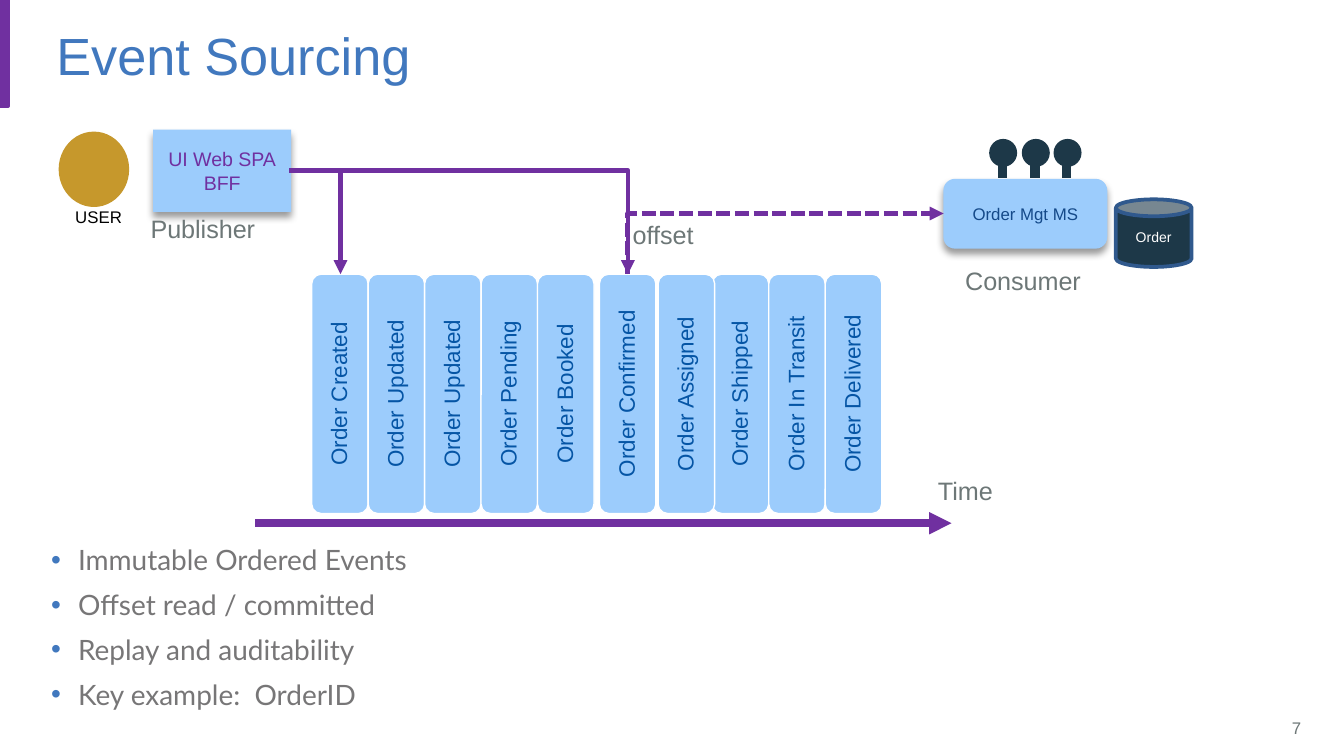
"""Build the Event Sourcing slide."""
from dataclasses import dataclass

from lxml import etree
from pptx import Presentation
from pptx.dml.color import RGBColor
from pptx.enum.dml import MSO_LINE
from pptx.enum.shapes import MSO_CONNECTOR, MSO_SHAPE
from pptx.enum.text import MSO_ANCHOR, MSO_AUTO_SIZE, PP_ALIGN
from pptx.oxml.ns import qn
from pptx.shapes.autoshape import Shape
from pptx.shapes.connector import Connector
from pptx.slide import Slide
from pptx.text.text import TextFrame
from pptx.util import Pt

RECTANGLE, ROUNDED = MSO_SHAPE.RECTANGLE, MSO_SHAPE.ROUNDED_RECTANGLE
OVAL, CAN = MSO_SHAPE.OVAL, MSO_SHAPE.CAN
STRAIGHT, ELBOW = MSO_CONNECTOR.STRAIGHT, MSO_CONNECTOR.ELBOW
LEFT, CENTER, RIGHT = PP_ALIGN.LEFT, PP_ALIGN.CENTER, PP_ALIGN.RIGHT
MIDDLE, TOP = MSO_ANCHOR.MIDDLE, MSO_ANCHOR.TOP
NO_FIT, GROW = MSO_AUTO_SIZE.NONE, MSO_AUTO_SIZE.SHAPE_TO_FIT_TEXT
DASHED = MSO_LINE.SQUARE_DOT

COLORS = {
    "purple": "7030A0", "title": "4178BE", "body": "777677", "label": "6D7777",
    "panel": "9CCCFC", "event": "0555A5", "service": "144989", "navy": "1D3848",
    "rim": "30598D", "gold": "C6982C", "white": "FFFFFF", "black": "000000",
}


@dataclass(frozen=True)
class Box:
    left: float
    top: float
    width: float
    height: float


@dataclass(frozen=True)
class Style:
    size: float
    color: str
    align: PP_ALIGN = LEFT
    font: str = "Arial"


LABEL = Style(13.5, "label")
EVENT_WIDTH, EVENT_PITCH, EVENT_TOP, EVENT_HEIGHT = 30.24, 30.24, 146.9, 128.2
EVENT_GROUPS = [
    (167, ["Created", "Updated", "Updated", "Pending", "Booked"]),
    (321.1, ["Confirmed"]),
    (381.6, ["Shipped", "In Transit", "Delivered"]),
    (352.6, ["Assigned"]),
]
LABELS = [
    ("Time", Box(495.4, 251.3, 44.6, 23.8)),
    ("offset", Box(331.9, 113.8, 47.5, 23.8)),
    ("Publisher", Box(73.6, 111, 71.3, 23.8)),
    ("Consumer", Box(510, 138.6, 77, 23.8)),
]
BULLETS = ["Immutable Ordered Events", "Offset read / committed",
           "Replay and auditability", "Key example:  OrderID"]


def rgb(name: str) -> RGBColor:
    return RGBColor.from_string(COLORS[name])


def place(shape: Shape, box: Box) -> None:
    shape.left, shape.top = Pt(box.left), Pt(box.top)
    shape.width, shape.height = Pt(box.width), Pt(box.height)


def set_insets(frame: TextFrame, inset: float) -> None:
    frame.margin_left = frame.margin_right = Pt(inset)
    frame.margin_top = frame.margin_bottom = Pt(inset)


def write(frame: TextFrame, lines: list[str], style: Style) -> None:
    frame.text = "\n".join(lines)
    for paragraph in frame.paragraphs:
        paragraph.alignment = style.align
        paragraph.font.size = Pt(style.size)
        paragraph.font.name = style.font
        paragraph.font.color.rgb = rgb(style.color)


def add_shape(slide: Slide, kind: MSO_SHAPE, box: Box, fill: str,
              line: str = "", weight: float = 0) -> Shape:
    shape = slide.shapes.add_shape(kind, 0, 0, 0, 0)
    place(shape, box)
    shape.shadow.inherit = False
    shape.fill.solid()
    shape.fill.fore_color.rgb = rgb(fill)
    if line:
        shape.line.color.rgb = rgb(line)
        shape.line.width = Pt(weight)
    else:
        shape.line.fill.background()
    shape.text_frame.vertical_anchor = MIDDLE
    return shape


def add_shadow(shape: Shape) -> None:
    effects = shape._element.spPr.find(qn("a:effectLst"))
    shadow = etree.SubElement(effects, qn("a:outerShdw"), blurRad=str(Pt(4)),
                              dist=str(Pt(3)), dir="5400000", rotWithShape="0")
    color = etree.SubElement(shadow, qn("a:srgbClr"), val=COLORS["black"])
    etree.SubElement(color, qn("a:alpha"), val="40000")


def add_text(slide: Slide, text: str, box: Box, style: Style) -> TextFrame:
    shape = slide.shapes.add_textbox(0, 0, 0, 0)
    place(shape, box)
    frame = shape.text_frame
    write(frame, [text], style)
    frame.word_wrap = False
    frame.auto_size = GROW
    return frame


def add_line(slide: Slide, kind: MSO_CONNECTOR, box: Box, color: str,
             weight: float, arrow: bool = False) -> Connector:
    connector = slide.shapes.add_connector(
        kind, Pt(box.left), Pt(box.top),
        Pt(box.left + box.width), Pt(box.top + box.height))
    connector.line.color.rgb = rgb(color)
    connector.line.width = Pt(weight)
    properties = connector._element.spPr
    if kind == ELBOW:
        properties.find(qn("a:prstGeom")).set("prst", "bentConnector2")
    if arrow:
        etree.SubElement(properties.find(qn("a:ln")), qn("a:tailEnd"), type="triangle")
    etree.SubElement(properties, qn("a:effectLst"))
    return connector


def add_title_and_bullets(slide: Slide) -> None:
    title, body = slide.placeholders
    place(title, Box(23, 3.6, 661, 51.8))
    write(title.text_frame, ["Event Sourcing"], Style(28, "title"))
    title.text_frame.vertical_anchor = MIDDLE
    title.text_frame.auto_size = NO_FIT
    place(body, Box(20.2, 287.3, 624.2, 105.8))
    frame = body.text_frame
    frame.text = "\n".join(BULLETS)
    for index, paragraph in enumerate(frame.paragraphs):
        properties = paragraph._p.get_or_add_pPr()
        properties.set("marL", str(Pt(14.4)))
        properties.set("indent", str(Pt(-14.4)))
        bullet_color = etree.SubElement(properties, qn("a:buClr"))
        etree.SubElement(bullet_color, qn("a:srgbClr"), val=COLORS["title"])
        etree.SubElement(properties, qn("a:buChar"), char="•")
        paragraph.space_before = Pt(6 if index else 0)
        paragraph.font.size = Pt(15)
        paragraph.font.name = "Lato"
        paragraph.font.color.rgb = rgb("body")
    frame.vertical_anchor = TOP
    frame.auto_size = NO_FIT


def add_events(slide: Slide) -> None:
    for start, names in EVENT_GROUPS:
        for index, name in enumerate(names):
            box = Box(start + index * EVENT_PITCH, EVENT_TOP, EVENT_WIDTH, EVENT_HEIGHT)
            event = add_shape(slide, ROUNDED, box, "panel", "white", 0.75)
            frame = event.text_frame
            write(frame, [f"Order {name}"], Style(12, "event", CENTER))
            frame.paragraphs[0].line_spacing = 0.9
            set_insets(frame, 0)
            frame._txBody.bodyPr.set("vert", "vert270")


def add_publisher(slide: Slide) -> None:
    publisher = add_shape(slide, RECTANGLE, Box(82.1, 69.4, 73.9, 44.2), "panel")
    add_shadow(publisher)
    write(publisher.text_frame, ["UI Web SPA", "BFF"], Style(10.5, "purple", CENTER))
    add_shape(slide, OVAL, Box(31.4, 70.5, 37.8, 40.4), "gold")
    user = add_text(slide, "USER", Box(40.3, 110.9, 25.2, 10.8), Style(9, "black"))
    set_insets(user, 0)


def add_consumer(slide: Slide) -> None:
    service = add_shape(slide, ROUNDED, Box(505.4, 95.8, 87.8, 37.4), "panel")
    add_shadow(service)
    write(service.text_frame, ["Order Mgt MS"], Style(9, "service", CENTER))
    for center in (537.4, 554.9, 571.9):
        add_shape(slide, OVAL, Box(center - 7.5, 74.4, 15, 15), "navy")
        add_line(slide, STRAIGHT, Box(center - 0.4, 88, 0, 7.2), "navy", 5)
    store = add_shape(slide, CAN, Box(597.8, 106.8, 40.6, 36.2), "navy", "rim", 2)
    write(store.text_frame, ["Order"], Style(7.5, "white", CENTER))


def add_flows(slide: Slide) -> None:
    add_line(slide, STRAIGHT, Box(136.8, 280.3, 373, 0), "purple", 4, arrow=True)
    for width in (181.4, 27.4):
        add_line(slide, ELBOW, Box(155, 91.4, width, 55.5), "purple", 2.5, arrow=True)
    offset_read = add_line(slide, ELBOW, Box(404.7, 46, 32.4, 169.2), "purple", 2.5, arrow=True)
    offset_read.line.dash_style = DASHED
    transform = offset_read._element.spPr.find(qn("a:xfrm"))
    for name, value in (("rot", "5400000"), ("flipH", "1"), ("flipV", "1")):
        transform.set(name, value)


def main() -> None:
    presentation = Presentation()
    presentation.slide_width, presentation.slide_height = Pt(720), Pt(405)
    slide = presentation.slides.add_slide(presentation.slide_layouts[1])
    add_shape(slide, RECTANGLE, Box(0, 0, 4.3, 56.9), "purple", "purple", 2)
    add_title_and_bullets(slide)
    number = add_text(slide, "7", Box(672.5, 379.4, 31.7, 21.6), Style(9, "label", RIGHT))
    number.word_wrap = True
    number.auto_size = NO_FIT
    number.vertical_anchor = MIDDLE
    add_events(slide)
    add_publisher(slide)
    add_consumer(slide)
    add_flows(slide)
    for text, box in LABELS:
        add_text(slide, text, box, LABEL)
    presentation.save("out.pptx")


if __name__ == "__main__":
    main()
